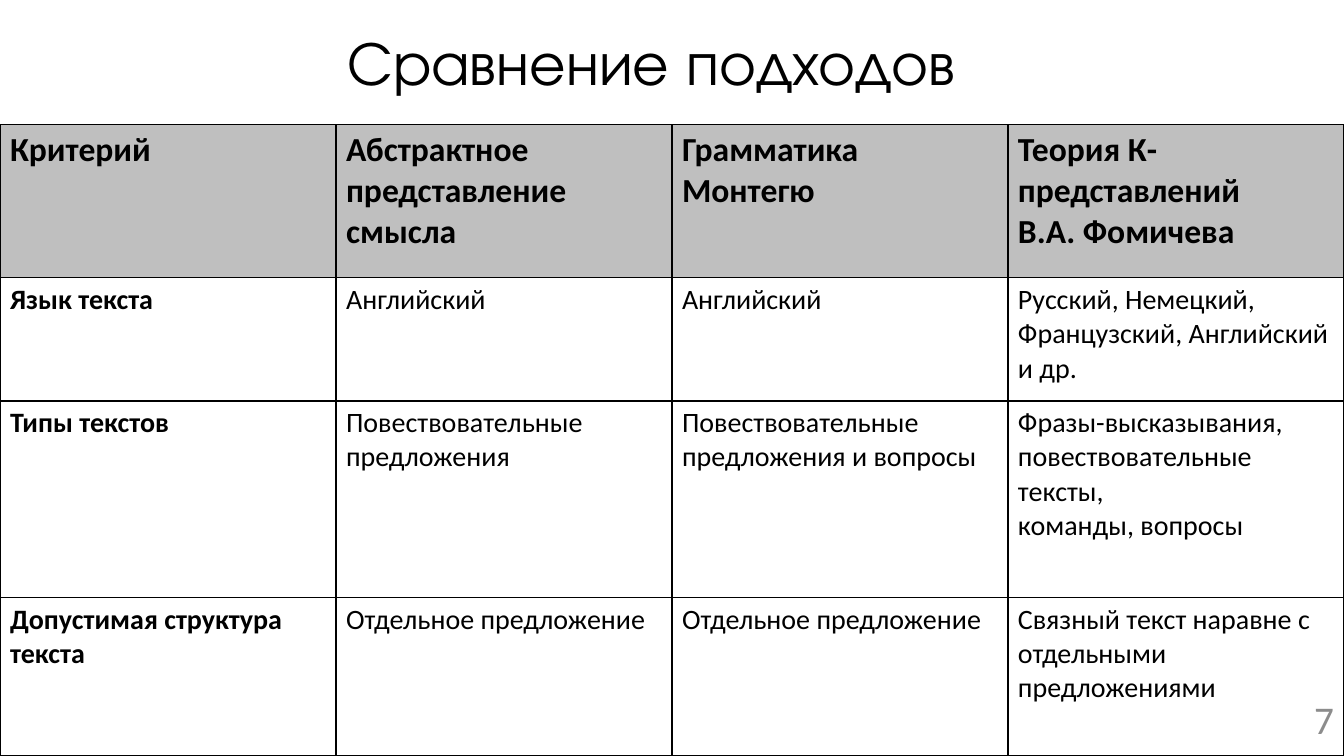
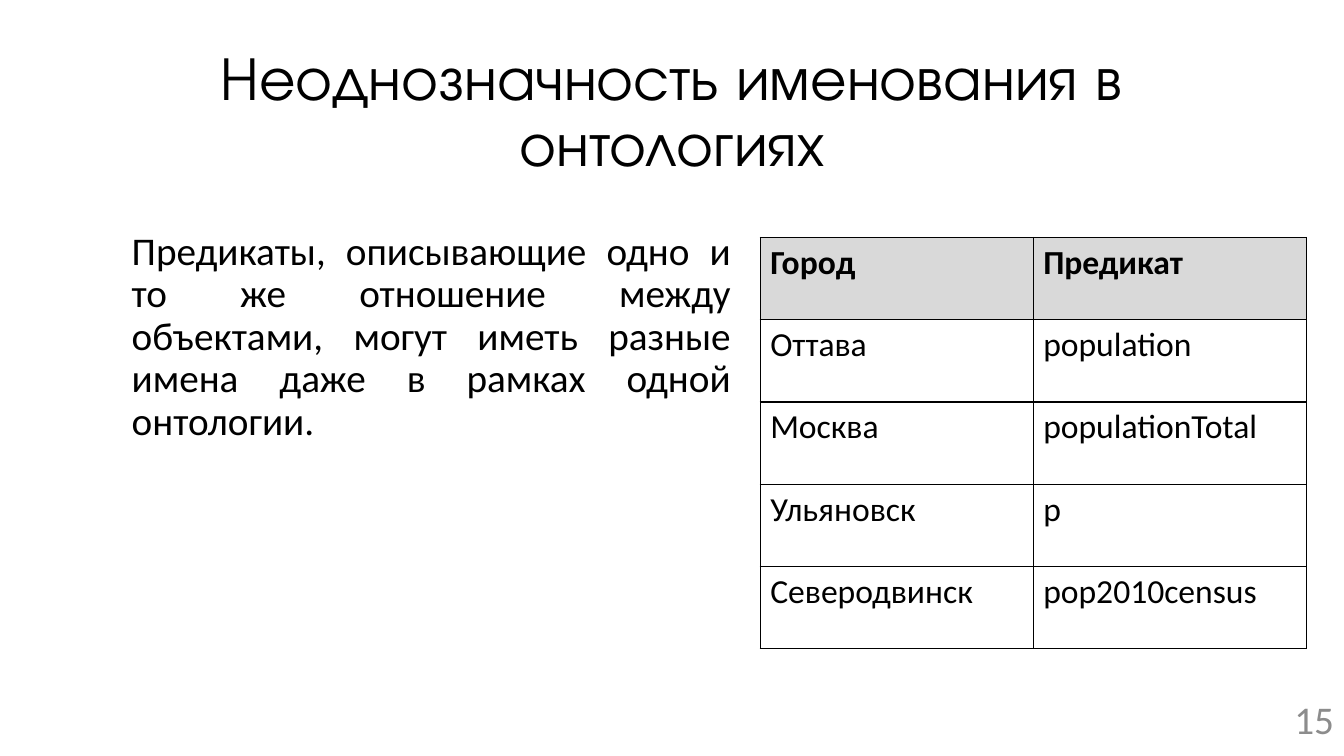
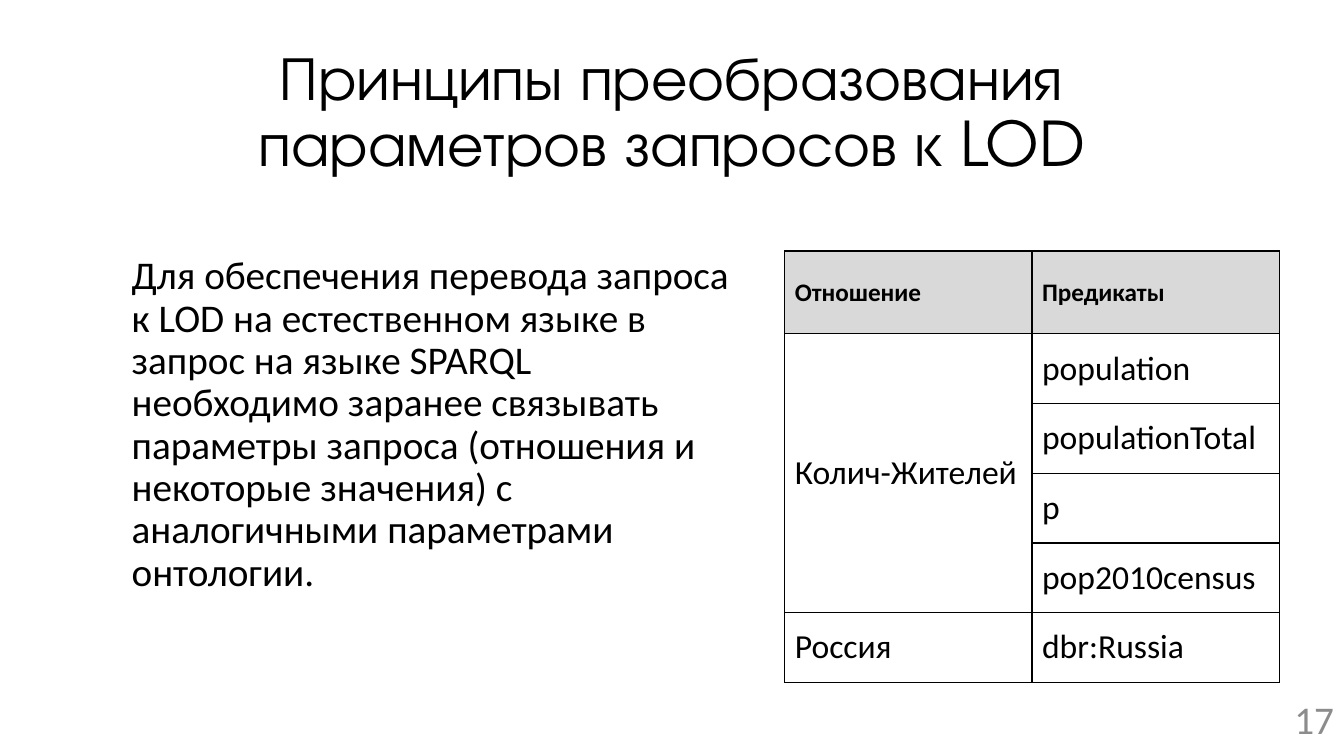
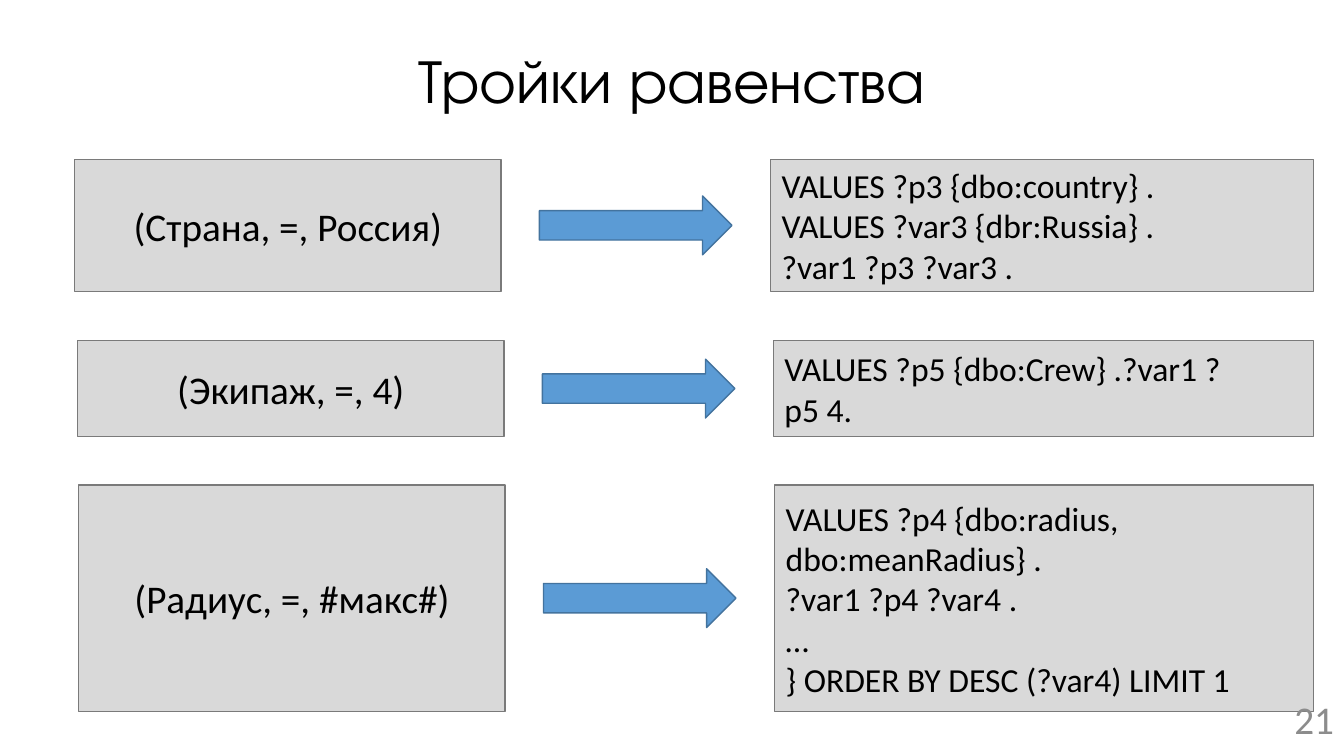
import lxml.etree
import pptx
import pptx.dml.color
import pptx.enum.shapes
import pptx.enum.text
import pptx.oxml.ns
import pptx.util

Pt = pptx.util.Pt
ALIGN = pptx.enum.text.PP_ALIGN
ANCHOR = pptx.enum.text.MSO_ANCHOR
SHAPE = pptx.enum.shapes.MSO_SHAPE

COLOURS = {
    "text": "000000",
    "number": "8C8C8C",
    "dark header": "BFBFBF",
    "panel": "D9D9D9",
    "panel line": "7A7A7A",
    "arrow": "5B9BD5",
    "arrow line": "43739E",
}
COLOURS = {name: pptx.dml.color.RGBColor.from_string(value) for name, value in COLOURS.items()}
BODY_FONT = "Calibri"
TITLE_FONT = "TeX Gyre Adventor"
SLIDE_WIDTH, SLIDE_HEIGHT = 960, 540


def write_text(frame, text, size, alignment=ALIGN.LEFT, anchor=ANCHOR.TOP, bold=False,
               font=BODY_FONT, colour="text", line_spacing=1.0, space_before=0):
    """Fill a text frame or a table cell's frame with evenly styled paragraphs."""
    frame.word_wrap = True
    frame.vertical_anchor = anchor
    frame.text = text
    for paragraph in frame.paragraphs:
        paragraph.alignment = alignment
        paragraph.line_spacing = line_spacing
        paragraph.space_before = Pt(space_before)
        paragraph.font.name = font
        paragraph.font.size = Pt(size)
        paragraph.font.bold = bold
        paragraph.font.color.rgb = COLOURS[colour]


def add_grid(slide, left, top, column_width, row_heights, rows, header_size, body_size,
             header_fill="panel", anchor=ANCHOR.TOP, bold_first_column=False):
    """Add a table with thin black borders and a filled header row."""
    column_count = len(rows[0])
    table = slide.shapes.add_table(
        len(rows), column_count, Pt(left), Pt(top),
        Pt(column_width * column_count), Pt(sum(row_heights))).table
    table.first_row = table.horz_banding = False
    for column in table.columns:
        column.width = Pt(column_width)
    for row_index, (height, texts) in enumerate(zip(row_heights, rows)):
        table.rows[row_index].height = Pt(height)
        is_header = row_index == 0
        for column_index, text in enumerate(texts):
            cell = table.cell(row_index, column_index)
            write_text(cell.text_frame, text, header_size if is_header else body_size,
                       bold=is_header or (bold_first_column and column_index == 0))
            cell.vertical_anchor = anchor
            properties = cell._tc.get_or_add_tcPr()
            for side in ("a:lnL", "a:lnR", "a:lnT", "a:lnB"):
                border = lxml.etree.SubElement(properties, pptx.oxml.ns.qn(side), w=str(Pt(1)))
                fill = lxml.etree.SubElement(border, pptx.oxml.ns.qn("a:solidFill"))
                lxml.etree.SubElement(fill, pptx.oxml.ns.qn("a:srgbClr"), val=str(COLOURS["text"]))
            if is_header:
                cell.fill.solid()
                cell.fill.fore_color.rgb = COLOURS[header_fill]
            else:
                cell.fill.background()
    return table


presentation = pptx.Presentation()
presentation.slide_width = Pt(SLIDE_WIDTH)
presentation.slide_height = Pt(SLIDE_HEIGHT)

# Titles: text, then left, top, width and height
titles = [
    ("Сравнение подходов", (95, 16.5, 741, 61)),
    ("Неоднозначность именования в онтологиях", (66, 28.8, 828, 104.4)),
    ("Принципы преобразования параметров запросов к LOD", (66, 28.8, 828, 104.4)),
    ("Тройки равенства", (66, 7.2, 828, 104.4)),
]
slides = []
for title, box in titles:
    slide = presentation.slides.add_slide(presentation.slide_layouts[6])
    title_box = slide.shapes.add_textbox(*map(Pt, box))
    write_text(title_box.text_frame, title, 44, ALIGN.CENTER, ANCHOR.MIDDLE,
               font=TITLE_FONT, line_spacing=0.9)
    slides.append(slide)
comparison_slide, naming_slide, conversion_slide, equality_slide = slides

# Comparison of approaches
add_grid(
    comparison_slide, 0, 89.2, SLIDE_WIDTH / 4, [109.2, 88, 140.4, 113.2],
    [
        ["Критерий", "Абстрактное представление смысла", "Грамматика Монтегю",
         "Теория К-представлений \vВ.А. Фомичева"],
        ["Язык текста", "Английский", "Английский",
         "Русский, Немецкий, Французский, Английский и др."],
        ["Типы текстов", "Повествовательные предложения",
         "Повествовательные предложения и вопросы",
         "Фразы-высказывания, повествовательные тексты,\nкоманды, вопросы"],
        ["Допустимая структура текста", "Отдельное предложение", "Отдельное предложение",
         "Связный текст наравне с отдельными предложениями"],
    ],
    header_size=24, body_size=20, header_fill="dark header", bold_first_column=True)

# Body text beside the two smaller tables
body_texts = [
    (naming_slide, 162, 442, ALIGN.JUSTIFY,
     "Предикаты, описывающие одно и то же отношение между объектами, могут иметь "
     "разные имена даже в рамках одной онтологии."),
    (conversion_slide, 179.3, 452, ALIGN.LEFT,
     "Для обеспечения перевода запроса к LOD на естественном языке в запрос на языке "
     "SPARQL необходимо заранее связывать параметры запроса (отношения и некоторые "
     "значения) с аналогичными параметрами онтологии."),
]
for slide, top, width, alignment, text in body_texts:
    body_box = slide.shapes.add_textbox(Pt(87), Pt(top), Pt(width), Pt(330.5))
    write_text(body_box.text_frame, text, 28, alignment, line_spacing=0.9, space_before=10)

# Ambiguous naming
add_grid(
    naming_slide, 543, 169.7, 195, [58.75] * 5,
    [
        ["Город", "Предикат"],
        ["Оттава", "population"],
        ["Москва", "populationTotal"],
        ["Ульяновск", "p"],
        ["Северодвинск", "pop2010census"],
    ],
    header_size=24, body_size=24)

# Converting query parameters: one relation spans four predicates
predicate_table = add_grid(
    conversion_slide, 560.5, 179.3, 176.7, [59.2] + [49.8] * 5,
    [
        ["Отношение", "Предикаты"],
        ["Колич-Жителей", "population"],
        ["", "populationTotal"],
        ["", "p"],
        ["", "pop2010census"],
        ["Россия", "dbr:Russia"],
    ],
    header_size=18, body_size=24, anchor=ANCHOR.MIDDLE)
predicate_table.cell(1, 0).merge(predicate_table.cell(4, 0))

# Equality triples: left, top and height of each row, triple, query
triples = [
    (53.3, 113.8, 94.4, "(Страна, =, Россия)",
     "VALUES ?p3 {dbo:country} .\nVALUES ?var3 {dbr:Russia} .\n?var1 ?p3 ?var3 ."),
    (55.4, 243.4, 68.4, "(Экипаж, =, 4)", "VALUES ?p5 {dbo:Crew} .?var1 ?p5 4."),
    (56.2, 346.3, 162, "(Радиус, =, #макс#)",
     "VALUES ?p4 {dbo:radius, dbo:meanRadius} .\n?var1 ?p4 ?var4 .\n…\n"
     "} ORDER BY DESC (?var4) LIMIT 1"),
]
QUERY_RIGHT = 938.2
ARROW_HEIGHT = 42
for left, top, height, triple, query in triples:
    query_left = left + 497
    arrow_top = top + (height - ARROW_HEIGHT) / 2
    parts = [
        (SHAPE.RECTANGLE, left, top, 304.6, height, "panel"),
        (SHAPE.RIGHT_ARROW, left + 332, arrow_top, 137.5, ARROW_HEIGHT, "arrow"),
        (SHAPE.RECTANGLE, query_left, top, QUERY_RIGHT - query_left, height, "panel"),
    ]
    row_shapes = []
    for kind, *box, colour in parts:
        shape = equality_slide.shapes.add_shape(kind, *map(Pt, box))
        shape.shadow.inherit = False
        shape.fill.solid()
        shape.fill.fore_color.rgb = COLOURS[colour]
        shape.line.color.rgb = COLOURS[colour + " line"]
        shape.line.width = Pt(1)
        row_shapes.append(shape)
    triple_box, arrow, query_box = row_shapes
    write_text(triple_box.text_frame, triple, 28, ALIGN.CENTER, ANCHOR.MIDDLE)
    query_frame = query_box.text_frame
    query_frame.margin_left = Pt(8)
    query_frame.margin_right = Pt(52)
    write_text(query_frame, query, 24, anchor=ANCHOR.MIDDLE)

# Slide numbers
for slide, number in zip(slides, (7, 15, 17, 21)):
    number_box = slide.shapes.add_textbox(Pt(894), Pt(486.5), Pt(66), Pt(53.5))
    write_text(number_box.text_frame, str(number), 28, ALIGN.RIGHT, ANCHOR.MIDDLE, colour="number")

presentation.save("out.pptx")
